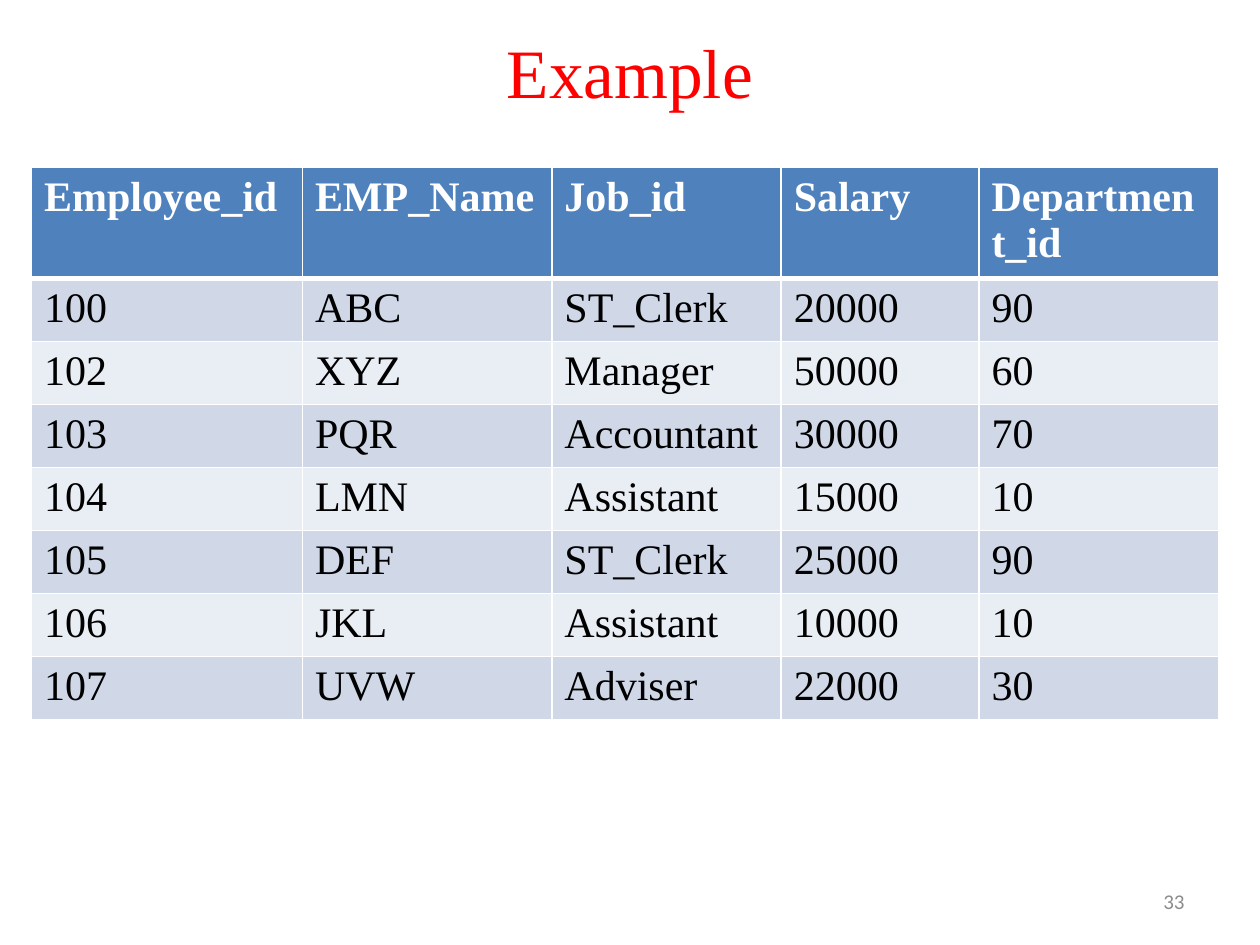
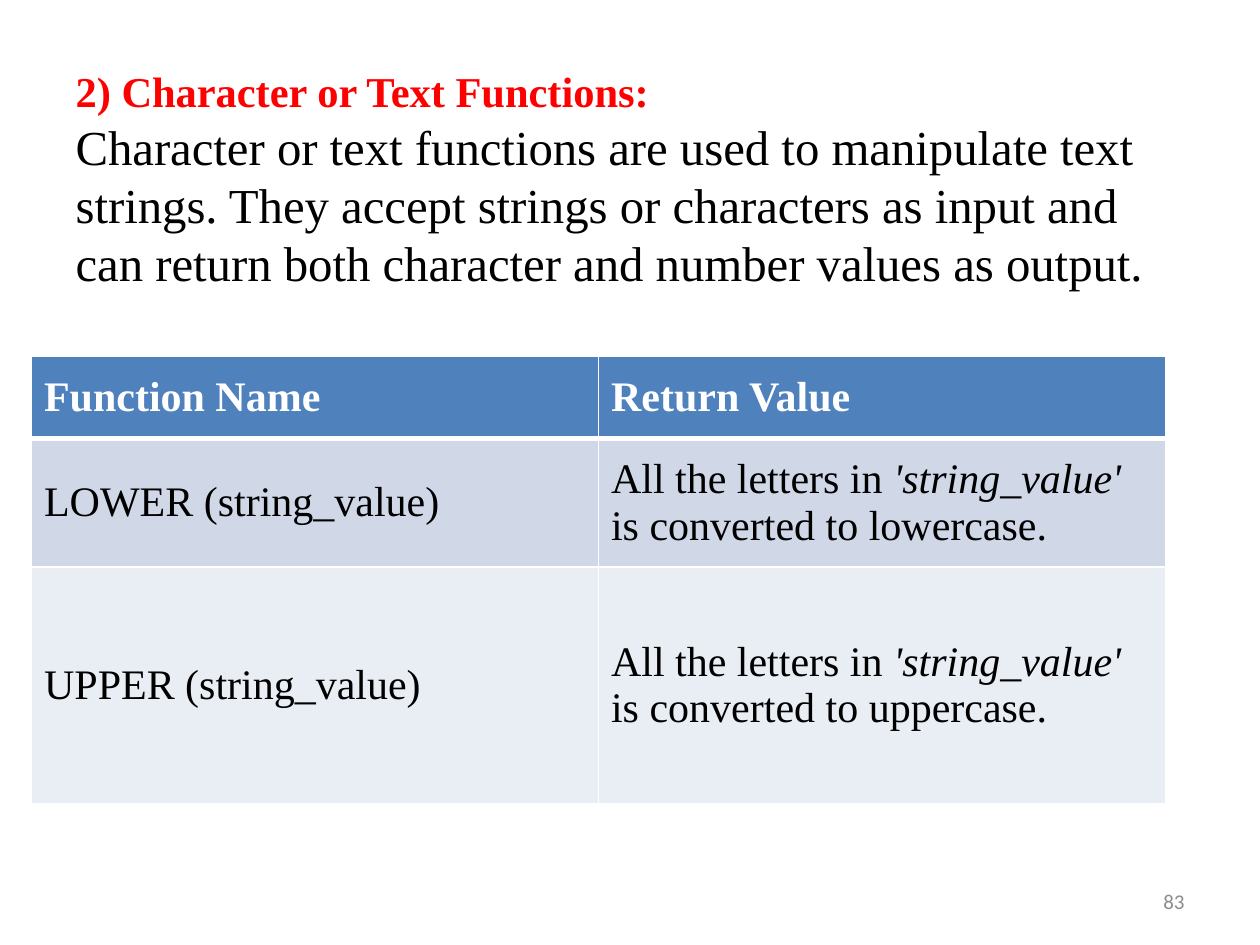
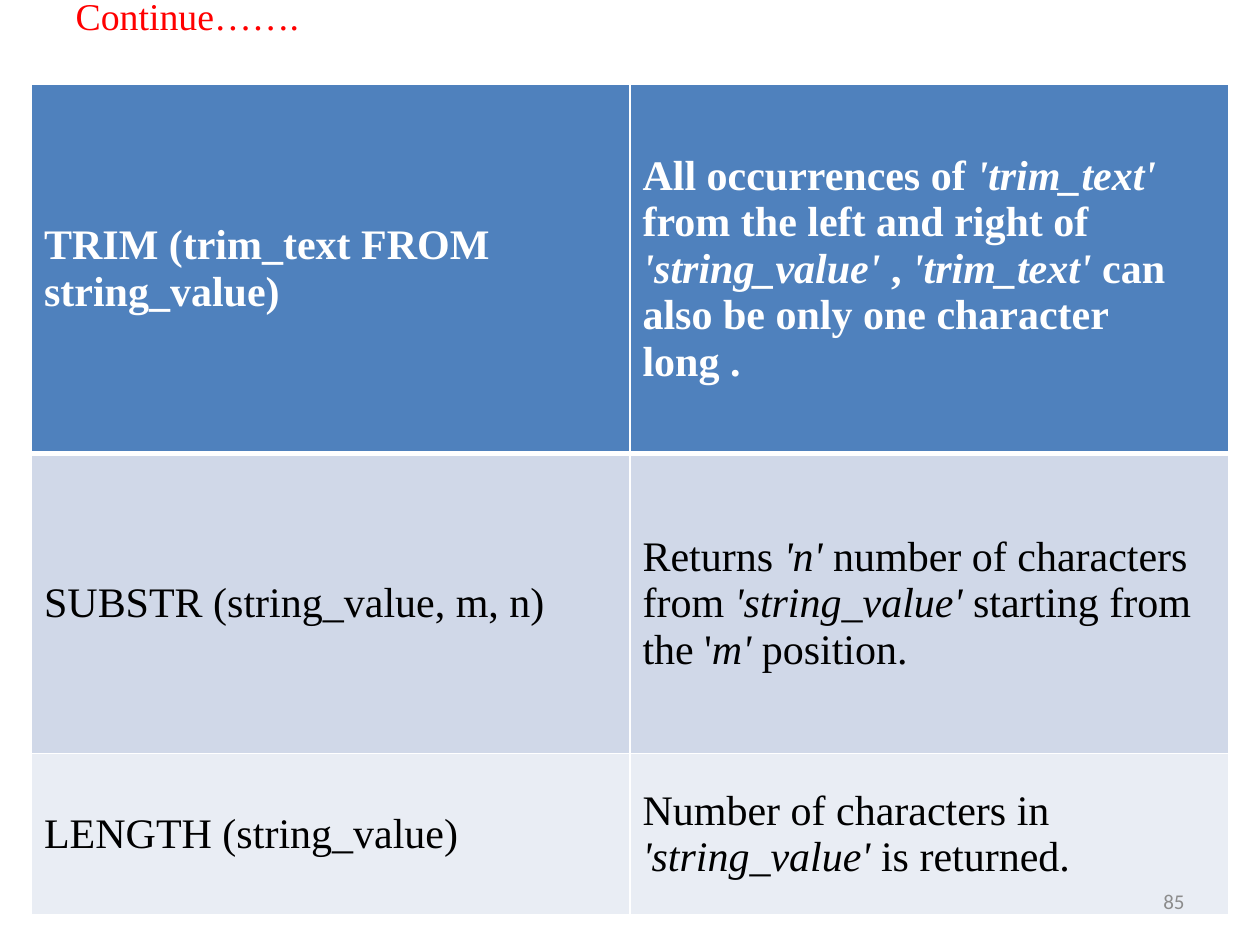
from lxml import etree
from pptx import Presentation
from pptx.dml.color import RGBColor
from pptx.enum.text import MSO_ANCHOR, MSO_AUTO_SIZE, PP_ALIGN
from pptx.oxml.ns import qn
from pptx.util import Inches, Pt

TOP, MIDDLE = MSO_ANCHOR.TOP, MSO_ANCHOR.MIDDLE
LEFT, CENTER, RIGHT = PP_ALIGN.LEFT, PP_ALIGN.CENTER, PP_ALIGN.RIGHT
NO_AUTOFIT = MSO_AUTO_SIZE.NONE
TITLE_ONLY = 5

SERIF, SANS = "Times New Roman", "Calibri"
RED, BLACK, WHITE, GREY = "FF0000", "000000", "FFFFFF", "8C8C8C"
HEADER, BANDS = "4F81BD", ("D0D8E8", "E9EDF4")
THIN, THICK = 1, 3


def rgb(color):
    return RGBColor.from_string(color)


def add_run(p, text, size, color, font=SERIF, bold=False, italic=False):
    r = p.add_run()
    r.text = text
    r.font.name = font
    r.font.size = Pt(size)
    r.font.bold = bold
    r.font.italic = italic
    r.font.color.rgb = rgb(color)


def add_borders(cell, top, bottom):
    tc_pr = cell._tc.get_or_add_tcPr()
    for side, width in (("L", THIN), ("R", THIN), ("T", top), ("B", bottom)):
        ln = etree.SubElement(tc_pr, qn("a:ln" + side), w=str(Pt(width)))
        fill = etree.SubElement(ln, qn("a:solidFill"))
        etree.SubElement(fill, qn("a:srgbClr"), val=WHITE)


class Deck:
    def __init__(self):
        self.prs = Presentation()
        self.prs.slide_width = Inches(10)
        self.prs.slide_height = Inches(7.5)
        self.slide = None

    def add_slide(self, number):
        layout = self.prs.slide_layouts[TITLE_ONLY]
        self.slide = self.prs.slides.add_slide(layout)
        self.number = number

    def title(self, top, height, lines, align=LEFT, anchor=MIDDLE,
              spacing=None, margin_top=0.05):
        """Fill the title; each line is (text, size, color, bold)."""
        sp = self.slide.shapes.title
        sp.left, sp.top = Inches(0.5), Inches(top)
        sp.width, sp.height = Inches(9), Inches(height)
        tf = sp.text_frame
        tf.auto_size = NO_AUTOFIT
        tf.vertical_anchor = anchor
        tf.margin_top = Inches(margin_top)
        for i, (text, size, color, bold) in enumerate(lines):
            p = tf.add_paragraph() if i else tf.paragraphs[0]
            p.alignment = align
            if spacing:
                p.line_spacing = Pt(spacing)
            add_run(p, text, size, color, bold=bold)

    def table(self, top, widths, heights, rows, anchor=MIDDLE):
        """Add a banded table; text between asterisks is italic."""
        frame = self.slide.shapes.add_table(
            len(rows), len(widths), Inches(0.25), Inches(top),
            Inches(sum(widths)), Inches(sum(heights)))
        table = frame.table
        for column, width in zip(table.columns, widths):
            column.width = Inches(width)
        for i, (row, height) in enumerate(zip(rows, heights)):
            table.rows[i].height = Inches(height)
            for j, text in enumerate(row):
                self.cell(table.cell(i, j), i, text, anchor)

    def cell(self, cell, row, text, anchor):
        header = row == 0
        add_borders(cell, THICK if row == 1 else THIN,
                    THICK if header else THIN)
        cell.fill.solid()
        cell.fill.fore_color.rgb = rgb(
            HEADER if header else BANDS[(row - 1) % 2])
        cell.vertical_anchor = anchor
        p = cell.text_frame.paragraphs[0]
        for k, part in enumerate(text.split("*")):
            if part:
                add_run(p, part, 24, WHITE if header else BLACK,
                        bold=header, italic=k % 2 == 1)

    def page_number(self):
        sp = self.slide.shapes.add_textbox(
            Inches(7.17), Inches(6.95), Inches(2.33), Inches(0.4))
        tf = sp.text_frame
        tf.word_wrap = True
        tf.vertical_anchor = MIDDLE
        p = tf.paragraphs[0]
        p.alignment = RIGHT
        add_run(p, str(self.number), 12, GREY, SANS)


def employees(deck):
    deck.add_slide(33)
    deck.title(0.3, 0.53, [("Example", 39.6, RED, False)], CENTER)
    rows = [
        ("Employee_id", "EMP_Name", "Job_id", "Salary", "Department_id"),
        ("100", "ABC", "ST_Clerk", "20000", "90"),
        ("102", "XYZ", "Manager", "50000", "60"),
        ("103", "PQR", "Accountant", "30000", "70"),
        ("104", "LMN", "Assistant", "15000", "10"),
        ("105", "DEF", "ST_Clerk", "25000", "90"),
        ("106", "JKL", "Assistant", "10000", "10"),
        ("107", "UVW", "Adviser", "22000", "30"),
    ]
    deck.table(1.33, [2.15, 1.98, 1.82, 1.57, 1.9],
               [0.88] + [0.5] * 7, rows, TOP)
    deck.page_number()


def text_functions(deck):
    deck.add_slide(83)
    deck.title(0.3, 1.87, [
        ("2) Character or Text Functions:", 24.3, RED, True),
        ("Character or text functions are used to manipulate text strings. "
         "They accept strings or characters as input and can return both "
         "character and number values as output.", 27.9, BLACK, False),
    ], anchor=TOP, spacing=33.4, margin_top=0.16)
    rows = [("Function Name", "Return Value")]
    for name in ("lower", "upper"):
        rows.append((f"{name.upper()} (string_value)",
                     "All the letters in *'string_value'* "
                     f"is converted to {name}case."))
    deck.table(2.83, [4.5] * 2, [0.65, 1.02, 1.88], rows)
    deck.page_number()


def more_functions(deck):
    deck.add_slide(85)
    deck.title(0, 0.25, [("Continue…….", 21.6, RED, False)])
    rows = [
        ("TRIM (trim_text FROM string_value)",
         "All occurrences of *'trim_text'* from the left and right of "
         "*'string_value'* , *'trim_text'* can also be only one character "
         "long ."),
        ("SUBSTR (string_value, m, n)",
         "Returns *'n'* number of characters from *'string_value'* "
         "starting from the '*m'* position."),
        ("LENGTH (string_value)",
         "Number of characters in *'string_value' *is returned."),
    ]
    deck.table(0.67, [4.75] * 2, [2.93, 2.38, 1.28], rows)
    deck.page_number()


def main():
    deck = Deck()
    employees(deck)
    text_functions(deck)
    more_functions(deck)
    deck.prs.save("out.pptx")


if __name__ == "__main__":
    main()
